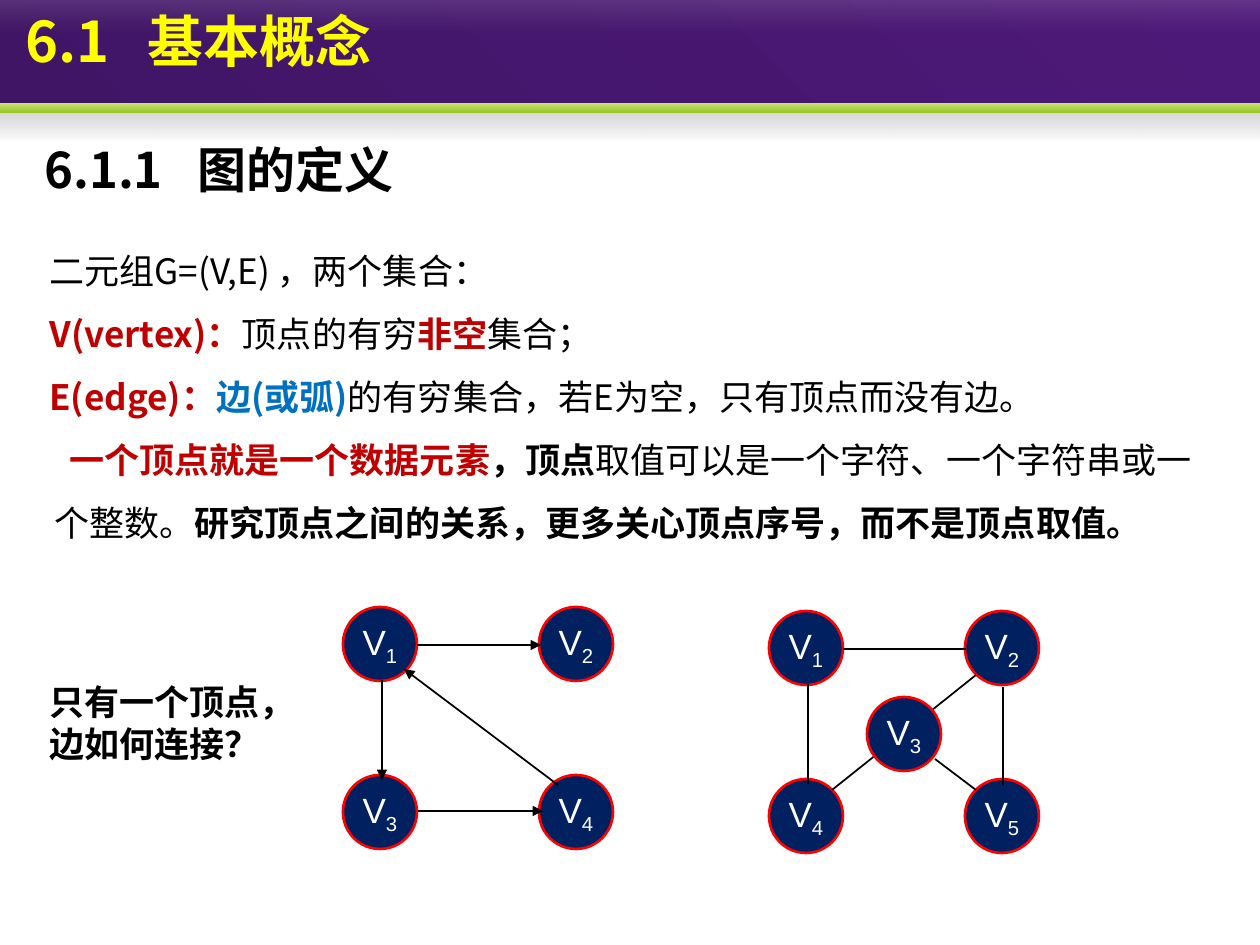
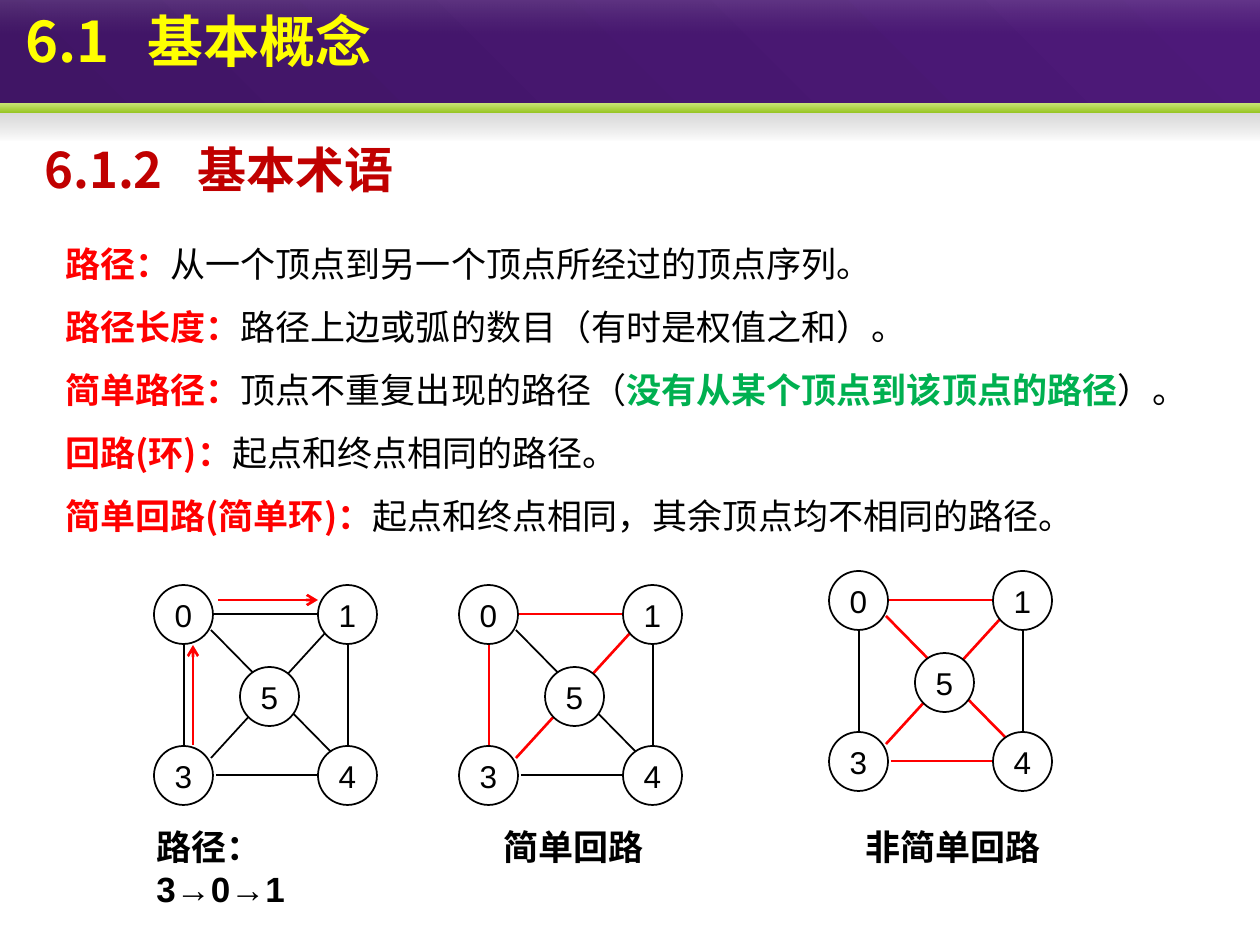
from lxml.etree import SubElement
from pptx import Presentation
from pptx.dml.color import RGBColor
from pptx.enum.shapes import MSO_CONNECTOR, MSO_SHAPE
from pptx.enum.text import MSO_ANCHOR, MSO_AUTO_SIZE, PP_ALIGN
from pptx.oxml.ns import qn
from pptx.util import Emu, Pt

SCALE = 914400 / 126
CJK_FONT = "Noto Sans CJK SC"
LATIN_FONT = "Arial"
COLORS = {
    "black": "000000",
    "white": "FFFFFF",
    "yellow": "FFFF00",
    "dark_red": "C00000",
    "red": "FF0000",
    "blue": "0070C0",
    "green": "00B050",
    "navy": "002060",
    "purple_dark": "401565",
    "purple": "4D1979",
    "shadow": "808080",
    "shadow_end": "5C5C5C",
    "lime_light": "C9E576",
    "lime": "97C523",
    "gloss_end": "B6B6B6",
}
BANDS = [
    (0, 113, 45, ("purple_dark", 100), ("purple", 100)),
    (111, 30, 270, ("shadow", 33), ("shadow_end", 0)),
    (103, 10, 270, ("lime_light", 100), ("lime", 100)),
    (0, 35, 270, ("white", 13), ("gloss_end", 0)),
]
VERTEX_SIZE = 74
NODE_SIZE = 59
NODES = {"0": (0, 0), "1": (164, 0), "3": (0, 161), "4": (164, 161), "5": (86, 82)}
PATH_EDGES = {
    "3-4": (62, 190, 171, 190),
    "0-3": (30, 53, 30, 173),
    "0-4": (57, 45, 183, 173),
    "1-4": (194, 38, 194, 173),
    "1-3": (183, 35, 57, 173),
    "0-1": (57, 29, 189, 29),
}


def px(length):
    return Emu(round(length * SCALE))


def rgb(name):
    return RGBColor.from_string(COLORS[name])


def add_run(paragraph, text, color="black", bold=False, size=20, font=CJK_FONT, baseline=0):
    run = paragraph.add_run()
    run.text = text
    run.font.size = Pt(size)
    run.font.bold = bold
    run.font.color.rgb = rgb(color)
    run.font.name = font
    properties = run._r.get_or_add_rPr()
    SubElement(properties, qn("a:ea"), typeface=CJK_FONT)
    if baseline:
        properties.set("baseline", str(baseline * 1000))


def set_indent(paragraph, margin, first_line=0):
    properties = paragraph._p.get_or_add_pPr()
    properties.set("marL", str(px(margin)))
    properties.set("indent", str(px(first_line)))


def add_numbered_heading(paragraph, number, text, tab, color, size):
    tabs = SubElement(paragraph._p.get_or_add_pPr(), qn("a:tabLst"))
    SubElement(tabs, qn("a:tab"), pos=str(px(tab)), algn="l")
    add_run(paragraph, f"{number}\t{text}", color, True, size)


def add_text_frame(slide, box, wrap=True):
    frame = slide.shapes.add_textbox(*map(px, box)).text_frame
    frame.word_wrap = wrap
    return frame


def add_band(slide, top, height, angle, *stops):
    shape = slide.shapes.add_shape(MSO_SHAPE.RECTANGLE, 0, px(top), px(1260), px(height))
    shape.shadow.inherit = False
    shape.line.fill.background()
    shape.fill.gradient()
    shape.fill.gradient_angle = angle
    for stop, (color, _) in zip(shape.fill.gradient_stops, stops):
        stop.color.rgb = rgb(color)
    for element, (_, opacity) in zip(shape.element.iter(qn("a:srgbClr")), stops):
        if opacity < 100:
            SubElement(element, qn("a:alpha"), val=str(opacity * 1000))


def add_header(slide):
    for band in BANDS:
        add_band(slide, *band)
    title = slide.shapes.title
    title.left, title.top, title.width, title.height = map(px, (13, 0, 1247, 113))
    title.element.getparent().append(title.element)
    frame = title.text_frame
    frame.auto_size = MSO_AUTO_SIZE.NONE
    frame.vertical_anchor = MSO_ANCHOR.TOP
    paragraph = frame.paragraphs[0]
    paragraph.alignment = PP_ALIGN.LEFT
    add_numbered_heading(paragraph, "6.1", "基本概念", 122, "yellow", 32)


def add_section_heading(slide, number, text, color):
    frame = add_text_frame(slide, (32, 121, 425, 95))
    frame.vertical_anchor = MSO_ANCHOR.MIDDLE
    add_numbered_heading(frame.paragraphs[0], number, text, 153, color, 28)


def add_definitions(slide, box, definitions):
    frame = add_text_frame(slide, box)
    for index, (indents, runs) in enumerate(definitions):
        paragraph = frame.add_paragraph() if index else frame.paragraphs[0]
        set_indent(paragraph, *indents)
        paragraph.line_spacing = 1.5
        for run in runs:
            add_run(paragraph, *run)


def add_caption(slide, box, *lines):
    paragraph = add_text_frame(slide, box, wrap=False).paragraphs[0]
    for index, line in enumerate(lines):
        if index:
            paragraph.add_line_break()
        add_run(paragraph, line, bold=True, font=LATIN_FONT)


def add_circle(slide, origin, offset, diameter, fill, outline, width):
    left, top = (start + shift for start, shift in zip(origin, offset))
    shape = slide.shapes.add_shape(MSO_SHAPE.OVAL, px(left), px(top), px(diameter), px(diameter))
    shape.shadow.inherit = False
    shape.fill.solid()
    shape.fill.fore_color.rgb = rgb(fill)
    shape.line.color.rgb = rgb(outline)
    shape.line.width = Pt(width)
    frame = shape.text_frame
    frame.word_wrap = False
    frame.vertical_anchor = MSO_ANCHOR.MIDDLE
    paragraph = frame.paragraphs[0]
    paragraph.alignment = PP_ALIGN.CENTER
    return paragraph


def add_vertices(slide, origin, vertices):
    for number, offset in vertices.items():
        paragraph = add_circle(slide, origin, offset, VERTEX_SIZE, "navy", "red", 1.5)
        add_run(paragraph, "V", "white", font=LATIN_FONT)
        add_run(paragraph, number, "white", font=LATIN_FONT, baseline=-25)


def add_edge(slide, origin, ends, color="black", width=1, arrowhead=None):
    left, top = origin
    x1, y1, x2, y2 = ends
    points = (left + x1, top + y1, left + x2, top + y2)
    edge = slide.shapes.add_connector(MSO_CONNECTOR.STRAIGHT, *map(px, points))
    edge.line.color.rgb = rgb(color)
    edge.line.width = Pt(width)
    if arrowhead:
        SubElement(edge.line._get_or_add_ln(), qn("a:tailEnd"), type=arrowhead)
    SubElement(edge.element.spPr, qn("a:effectLst"))


def add_directed_graph(slide, origin):
    add_vertices(slide, origin, {"1": (0, 0), "2": (196, 0), "3": (0, 168), "4": (196, 168)})
    for ends in [(74, 38, 198, 38), (75, 204, 200, 204), (39, 73, 39, 173), (215, 178, 61, 62)]:
        add_edge(slide, origin, ends, arrowhead="triangle")


def add_undirected_graph(slide, origin):
    add_vertices(slide, origin, {"1": (0, 0), "2": (196, 0), "4": (0, 168), "5": (196, 168)})
    edges = [
        (74, 38, 197, 38),
        (63, 179, 207, 64),
        (39, 73, 39, 173),
        (234, 76, 234, 175),
        (166, 148, 207, 179),
    ]
    for ends in edges:
        add_edge(slide, origin, ends)
    add_vertices(slide, origin, {"3": (98, 86)})


def add_path_graph(slide, origin, red_edges=()):
    for name, ends in PATH_EDGES.items():
        if name in red_edges:
            add_edge(slide, origin, ends, "red", 1.5)
        else:
            add_edge(slide, origin, ends)
    for number, offset in NODES.items():
        paragraph = add_circle(slide, origin, offset, NODE_SIZE, "white", "black", 1)
        add_run(paragraph, number, size=18, font=LATIN_FONT)


def add_slide(presentation):
    slide = presentation.slides.add_slide(presentation.slide_layouts[5])
    add_header(slide)
    return slide


def build_definition_slide(presentation):
    slide = add_slide(presentation)
    add_section_heading(slide, "6.1.1", "图的定义", "black")
    add_definitions(slide, (37, 222, 1178, 338), [
        ((0,), [("二元组G=(V,E) ，两个集合：",)]),
        ((0,), [
            ("V(vertex)：", "dark_red", True),
            ("顶点的有穷",),
            ("非空", "dark_red", True),
            ("集合；",),
        ]),
        ((0,), [
            ("E(edge)：", "dark_red", True),
            ("边(或弧)", "blue", True),
            ("的有穷集合，若E为空，只有顶点而没有边。",),
        ]),
        ((5, 15), [
            ("一个顶点就是一个数据元素", "dark_red", True),
            ("，顶点", "black", True),
            ("取值可以是一个字符、一个字符串或一个整数。",),
            ("研究顶点之间的关系，更多关心顶点序号，而不是顶点取值。", "black", True),
        ]),
    ])
    add_directed_graph(slide, (343, 607))
    add_undirected_graph(slide, (769, 611))
    add_caption(slide, (37, 674, 273, 97), "只有一个顶点，", "边如何连接？")


def build_terms_slide(presentation):
    slide = add_slide(presentation)
    add_section_heading(slide, "6.1.2", "基本术语", "dark_red")
    terms = [
        ("路径：", [("从一个顶点到另一个顶点所经过的顶点序列。",)]),
        ("路径长度：", [("路径上边或弧的数目（有时是权值之和）。",)]),
        ("简单路径：", [
            ("顶点不重复出现的路径（",),
            ("没有从某个顶点到该顶点的路径", "green", True),
            ("）。",),
        ]),
        ("回路(环)：", [("起点和终点相同的路径。",)]),
        ("简单回路(简单环)：", [("起点和终点相同，其余顶点均不相同的路径。",)]),
    ]
    definitions = [((25,), [(term, "red", True), *meaning]) for term, meaning in terms]
    add_definitions(slide, (28, 215, 1206, 328), definitions)

    path_origin = (154, 585)
    add_path_graph(slide, path_origin)
    for ends in [(39, 160, 39, 60), (64, 15, 164, 15)]:
        add_edge(slide, path_origin, ends, "red", 1.5, "arrow")
    add_path_graph(slide, (459, 585), ("0-3", "1-3", "0-1"))
    add_path_graph(slide, (829, 571), ("3-4", "0-4", "1-3", "0-1"))
    add_caption(slide, (144, 819, 262, 97), "路径：", "3→0→1")
    add_caption(slide, (491, 819, 166, 55), "简单回路")
    add_caption(slide, (853, 819, 203, 55), "非简单回路")


def main():
    presentation = Presentation()
    presentation.slide_width = px(1260)
    presentation.slide_height = px(945)
    build_definition_slide(presentation)
    build_terms_slide(presentation)
    presentation.save("out.pptx")


if __name__ == "__main__":
    main()
